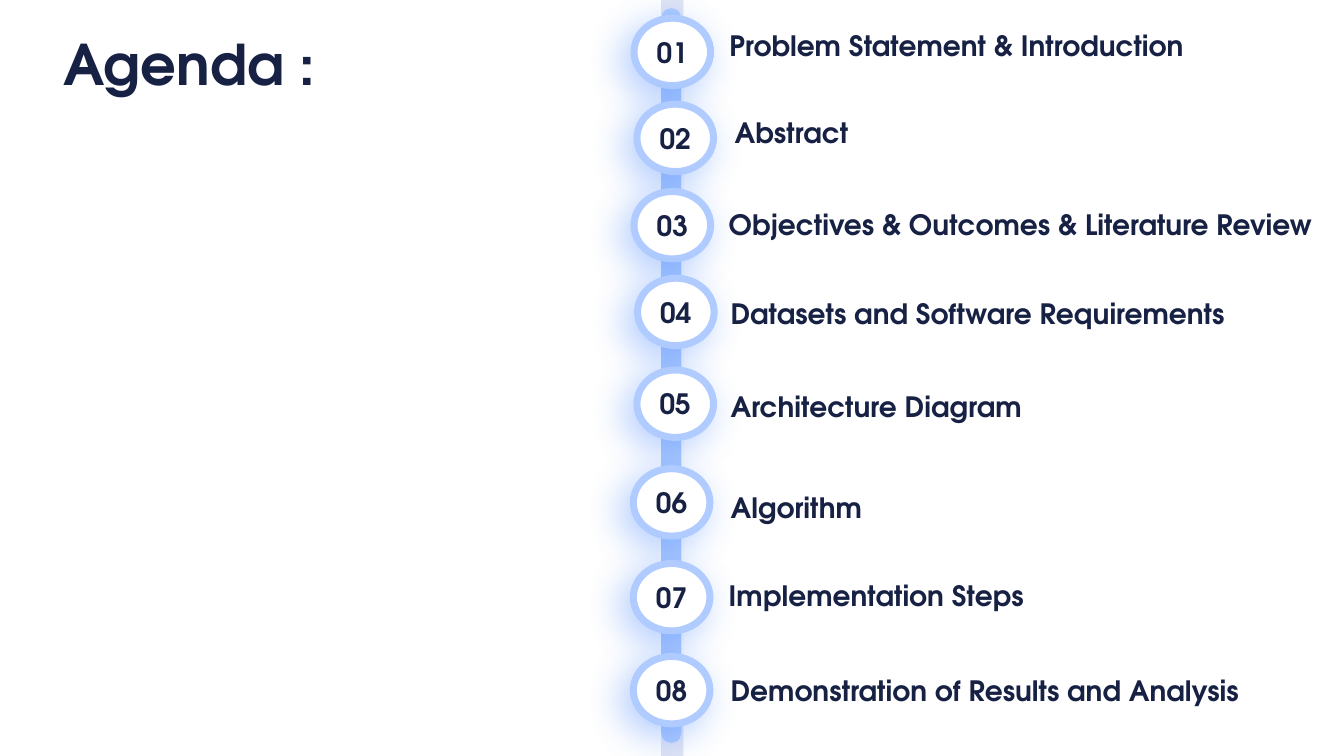
from lxml.etree import SubElement
from pptx import Presentation
from pptx.dml.color import RGBColor
from pptx.enum.shapes import MSO_SHAPE
from pptx.enum.text import MSO_ANCHOR, MSO_AUTO_SIZE, PP_ALIGN
from pptx.oxml.ns import qn
from pptx.util import Pt

NAVY = RGBColor(0x17, 0x21, 0x44)
SKY = RGBColor(0xAF, 0xCB, 0xFF)
GLOW = RGBColor(0x37, 0x7D, 0xFF)
MIST = RGBColor(0xE0, 0xE4, 0xF4)
WHITE = RGBColor(0xFF, 0xFF, 0xFF)
FONT = "TeX Gyre Adventor"
SLIDE_WIDTH, SLIDE_HEIGHT = 960, 540
MARKER_WIDTH, MARKER_HEIGHT = 54.7, 48.2
LABEL_WIDTH, LABEL_HEIGHT = 440, 32

# Topic, marker left and top, label left and top
AGENDA = [
    ("Problem Statement & Introduction", 452.9, 13, 514, 16.6),
    ("Abstract", 455, 74.4, 517.7, 79.2),
    ("Objectives & Outcomes & Literature Review", 452.9, 136.8, 513.4, 144.7),
    ("Datasets and Software Requirements", 455.4, 198.7, 514.8, 208),
    ("Architecture Diagram", 455, 264.3, 514.8, 275),
    ("Algorithm", 452.4, 334.8, 514.8, 347),
    ("Implementation Steps", 452.4, 402.5, 513.4, 409.7),
    ("Demonstration of Results and Analysis", 452.4, 468.9, 514.8, 477.4),
]


def write(frame, text, size, align=PP_ALIGN.LEFT, **frame_format):
    layout = {"word_wrap": True, "auto_size": MSO_AUTO_SIZE.NONE,
              "vertical_anchor": MSO_ANCHOR.TOP, **frame_format}
    for name, value in layout.items():
        setattr(frame, name, value)
    frame.text = text
    paragraph = frame.paragraphs[0]
    paragraph.alignment = align
    for name, value in {"name": FONT, "size": Pt(size), "bold": True}.items():
        setattr(paragraph.font, name, value)
    paragraph.font.color.rgb = NAVY


def add_filled(slide, kind, box, color):
    shape = slide.shapes.add_shape(kind, *map(Pt, box))
    shape.shadow.inherit = False
    shape.fill.solid()
    shape.fill.fore_color.rgb = color
    shape.line.fill.background()
    return shape


def add_bar(slide, top, height, width, color):
    bar = add_filled(slide, MSO_SHAPE.ROUNDED_RECTANGLE, (472.3, top, width, height), color)
    bar.adjustments[0] = 0.5


def add_glow(shape):
    """Give the shape a soft blue shadow towards the lower left."""
    effects = shape._element.spPr.find(qn("a:effectLst"))
    shadow = SubElement(effects, qn("a:outerShdw"), blurRad=str(Pt(28)), dist=str(Pt(9)),
                        dir=str(135 * 60000), algn="tr", rotWithShape="0")
    color = SubElement(shadow, qn("a:srgbClr"), val=str(GLOW))
    SubElement(color, qn("a:alpha"), val="39000")


def add_marker(slide, number, left, top):
    marker = add_filled(slide, MSO_SHAPE.OVAL, (left, top, MARKER_WIDTH, MARKER_HEIGHT), WHITE)
    marker.line.color.rgb = SKY
    marker.line.width = Pt(5)
    add_glow(marker)
    write(marker.text_frame, f"{number:02}", 20, PP_ALIGN.CENTER, word_wrap=False,
          vertical_anchor=MSO_ANCHOR.MIDDLE, margin_left=0, margin_right=0)


def add_label(slide, topic, left, top):
    label = slide.shapes.add_textbox(*map(Pt, (left, top, LABEL_WIDTH, LABEL_HEIGHT)))
    write(label.text_frame, topic, 20)


def place_title(slide, text):
    title = slide.shapes.title
    box = {"left": 38.2, "top": 17.3, "width": 400, "height": 55.4}
    for name, value in box.items():
        setattr(title, name, Pt(value))
    write(title.text_frame, text, 40)


def main():
    presentation = Presentation()
    presentation.slide_width = Pt(SLIDE_WIDTH)
    presentation.slide_height = Pt(SLIDE_HEIGHT)
    slide = presentation.slides.add_slide(presentation.slide_layouts[5])
    place_title(slide, "Agenda :")

    add_filled(slide, MSO_SHAPE.RECTANGLE, (472.3, 0, 15.8, SLIDE_HEIGHT), MIST)
    add_bar(slide, 56.9, 426.2, 15.8, WHITE)
    add_bar(slide, 5.8, 524.9, 14.4, SKY)

    for number, (topic, marker_left, marker_top, label_left, label_top) in enumerate(AGENDA, 1):
        add_marker(slide, number, marker_left, marker_top)
        add_label(slide, topic, label_left, label_top)

    presentation.save("out.pptx")


if __name__ == "__main__":
    main()
